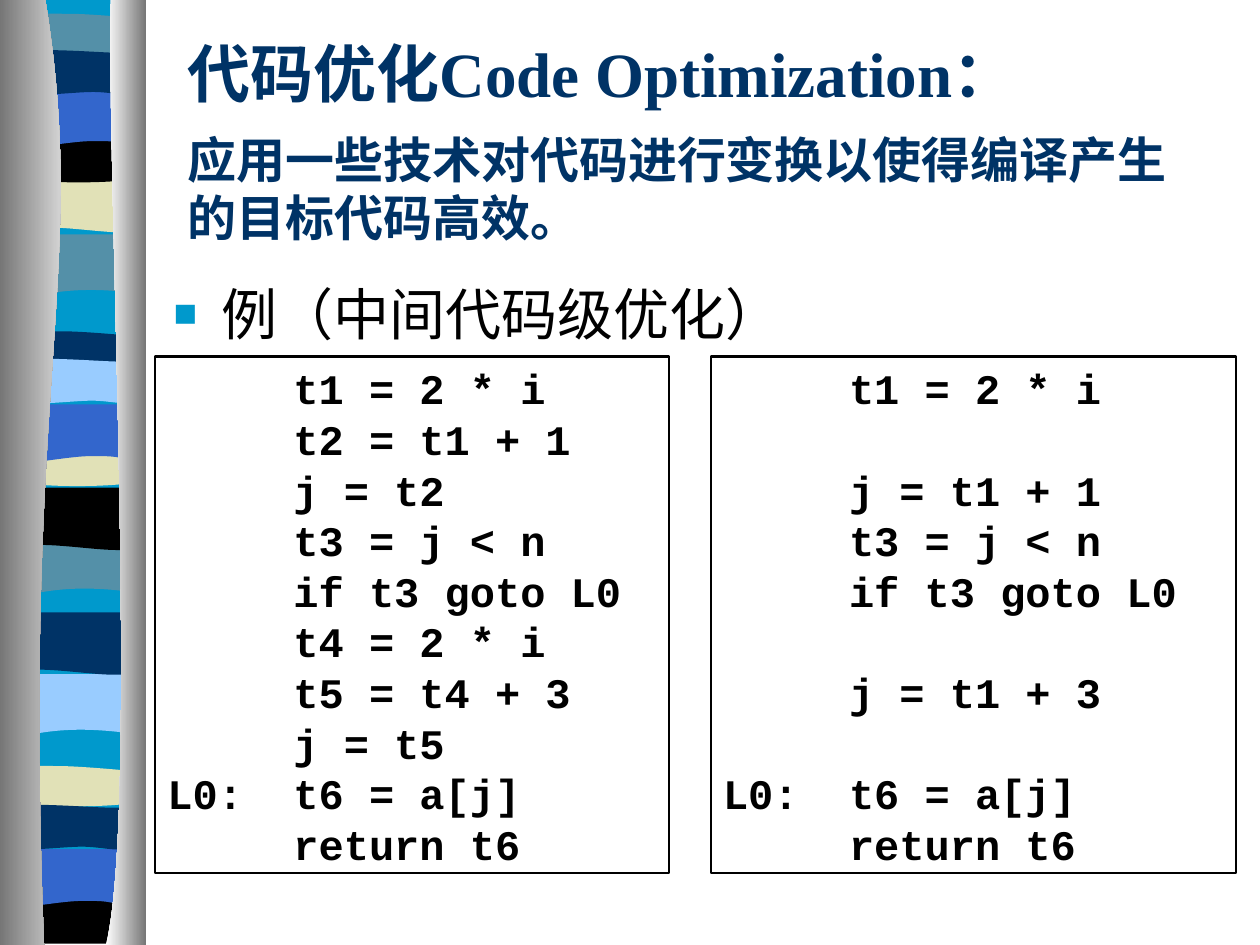
import pptx
import pptx.util
import pptx.dml.color
import pptx.enum.shapes
import pptx.enum.text
import pptx.oxml
import pptx.oxml.ns

RGBColor = pptx.dml.color.RGBColor
SCALE = 9144  # EMU per px, 100 px to the inch

WHITE = RGBColor(0xFF, 0xFF, 0xFF)
BLACK = RGBColor(0x00, 0x00, 0x00)
NAVY = RGBColor(0x00, 0x33, 0x66)
CYAN = RGBColor(0x00, 0x99, 0xCC)
TEAL = RGBColor(0x54, 0x90, 0xA8)
SAND = RGBColor(0xE1, 0xE1, 0xB7)
BLUE = RGBColor(0x33, 0x66, 0xCC)
SKY = RGBColor(0x99, 0xCC, 0xFF)
GREY = RGBColor(0x76, 0x76, 0x76)

# Outlines in px: a pair is a line, six numbers are a Bezier curve
WAVE = [(98, 0), (98, 47), (30, 38, 17, 54, 0, 47), (0, 0)]
SWELL = [(98, 0), (98, 47), (82, 55, 30, 41, 0, 47), (0, 0)]
LENS = [(98, 5), (98, 30), (82, 34, 16, 34, 0, 30), (0, 5),
        (6, 0, 21, 1, 38, 1), (54, 1, 86, 4, 98, 5)]
BOWL = [(98, 0), (98, 33), (82, 38, 17, 38, 0, 33), (0, 0),
        (61, 5, 78, 0, 98, 0)]
ARCH = [(98, 0), (98, 47), (83, 41, 77, 41, 61, 41),
        (44, 41, 15, 47, 0, 47), (0, 0)]
FLAG = [(98, 5), (98, 36), (92, 41, 77, 36, 61, 36),
        (44, 36, 10, 41, 0, 36), (0, 5), (14, 0, 67, 5, 83, 5),
        (99, 5, 95, 5, 98, 5)]
FOOT = [(98, 0), (99, 37), (1, 37), (0, 0), (61, 5, 78, 0, 98, 0)]
RIBBON = [(98, 0), (98, 747), (0, 747), (0, 0)]
LEFT_COLUMN = [(36, 0), (71, 216, 17, 296, 35, 750), (0, 750), (0, 0)]
RIGHT_COLUMN = [(88, 0), (84, 125, 111, 646, 84, 750), (116, 750), (116, 0)]

# Ribbon bands from back to front: outline, left, top, colour
BANDS = [
    (RIBBON, 14, 0, CYAN),
    (WAVE, 13, 186, TEAL), (SWELL, 17, 135, SAND), (LENS, 17, 10, TEAL),
    (BOWL, 13, 108, BLACK), (ARCH, 13, 71, BLUE), (FLAG, 13, 37, NAVY),
    (WAVE, 8, 423, TEAL), (SWELL, 12, 387, BLACK), (LENS, 12, 262, NAVY),
    (BOWL, 12, 349, SAND), (ARCH, 12, 321, BLUE), (FLAG, 12, 282, SKY),
    (WAVE, 5, 535, SKY), (SWELL, 10, 486, NAVY), (LENS, 8, 607, SAND),
    (FOOT, 8, 712, BLACK), (ARCH, 5, 674, BLUE), (FLAG, 4, 636, NAVY),
]

# Code as blocks of lines; an optimized-away line leaves a gap between blocks
CODE_BEFORE = [
    ["\tt1 = 2 * i", "\tt2 = t1 + 1", "\tj = t2", "\tt3 = j < n",
     "\tif t3 goto L0", "\tt4 = 2 * i", "\tt5 = t4 + 3", "\tj = t5",
     "L0: \tt6 = a[j]", "\treturn t6"],
]
CODE_AFTER = [
    ["\tt1 = 2 * i"],
    ["\tj = t1 + 1", "\tt3 = j < n", "\tif t3 goto L0"],
    ["\tj = t1 + 3"],
    ["L0: \tt6 = a[j]", "\treturn t6"],
]
CODE_LINE_HEIGHT = 28.9


def px(length):
    return pptx.util.Emu(round(length * SCALE))


class SlideBuilder:
    def __init__(self, slide):
        self.slide = slide

    def outline(self, outline, left=0, top=0):
        points = [(px(left + x), px(top + y)) for step in outline
                  for x, y in zip(step[::2], step[1::2])]
        builder = self.slide.shapes.build_freeform(*points[0], scale=1.0)
        builder.add_line_segments(points[1:], close=True)
        shape = builder.convert_to_shape()
        shape.shadow.inherit = False
        shape.line.fill.background()
        self.bend(shape, outline)
        return shape

    def bend(self, shape, outline):
        """Join the three segments of each curve into one Bezier segment."""
        lines = iter(list(shape._element.iter(pptx.oxml.ns.qn("a:lnTo"))))
        for step in outline[1:]:
            line = next(lines)
            if len(step) == 2:
                continue
            curve = pptx.oxml.parse_xml(
                f'<a:cubicBezTo {pptx.oxml.ns.nsdecls("a")}/>')
            line.addprevious(curve)
            for segment in (line, next(lines), next(lines)):
                curve.append(segment[0])
                segment.getparent().remove(segment)

    def band(self, outline, left, top, color):
        shape = self.outline(outline, left, top)
        shape.fill.solid()
        shape.fill.fore_color.rgb = color

    def column(self, outline, start, end):
        shape = self.outline(outline)
        shape.fill.gradient()
        shape.fill.gradient_angle = 0
        for stop, color in zip(shape.fill.gradient_stops, (start, end)):
            stop.color.rgb = color

    def run(self, paragraph, text, size, font, color, bold=False):
        run = paragraph.add_run()
        run.text = text
        run.font.size = pptx.util.Pt(size)
        run.font.name = font
        run.font.bold = bold
        run.font.color.rgb = color

    def frame(self, shape, anchor):
        frame = shape.text_frame
        frame.word_wrap = True
        frame.auto_size = pptx.enum.text.MSO_AUTO_SIZE.NONE
        frame.vertical_anchor = anchor
        return frame

    def paragraph(self, frame, index, gap):
        paragraph = frame.add_paragraph() if index else frame.paragraphs[0]
        paragraph.alignment = pptx.enum.text.PP_ALIGN.LEFT
        paragraph.space_before = pptx.util.Pt(gap)
        return paragraph

    def add_properties(self, paragraph, xml):
        properties = paragraph._p.get_or_add_pPr()
        namespace = pptx.oxml.ns.nsdecls("a")
        for child in list(pptx.oxml.parse_xml(f"<a:pPr {namespace}>{xml}</a:pPr>")):
            properties.append(child)
        return properties

    def title(self, box, lines):
        shape = self.slide.shapes.title
        shape.left, shape.top, shape.width, shape.height = map(px, box)
        frame = self.frame(shape, pptx.enum.text.MSO_ANCHOR.MIDDLE)
        for index, (text, size, gap) in enumerate(lines):
            paragraph = self.paragraph(frame, index, gap)
            self.run(paragraph, text, size, "Times New Roman", NAVY, True)

    def bullet(self, box, text):
        shape = self.slide.shapes.add_textbox(*map(px, box))
        frame = self.frame(shape, pptx.enum.text.MSO_ANCHOR.TOP)
        paragraph = self.paragraph(frame, 0, 8)
        properties = self.add_properties(
            paragraph,
            f'<a:buClr><a:srgbClr val="{CYAN}"/></a:buClr>'
            '<a:buSzPct val="70000"/><a:buFont typeface="Arial"/>'
            '<a:buChar char="■"/>')
        properties.set("marL", str(px(38)))
        properties.set("indent", str(px(-38)))
        self.run(paragraph, text, 32, "Arial", BLACK)

    def code(self, box, blocks):
        rectangle = pptx.enum.shapes.MSO_SHAPE.RECTANGLE
        shape = self.slide.shapes.add_shape(rectangle, *map(px, box))
        shape.shadow.inherit = False
        shape.fill.background()
        shape.line.color.rgb = BLACK
        shape.line.width = pptx.util.Pt(1.25)
        frame = self.frame(shape, pptx.enum.text.MSO_ANCHOR.TOP)
        for index, block in enumerate(blocks):
            paragraph = self.paragraph(frame, index, CODE_LINE_HEIGHT if index else 3)
            paragraph.line_spacing = pptx.util.Pt(CODE_LINE_HEIGHT)
            self.add_properties(
                paragraph,
                f'<a:tabLst><a:tab pos="{px(100)}" algn="l"/></a:tabLst>')
            for number, line in enumerate(block):
                if number:
                    paragraph.add_line_break()
                self.run(paragraph, line, 24, "Courier New", BLACK, True)


def main():
    presentation = pptx.Presentation()
    presentation.slide_width, presentation.slide_height = px(1000), px(750)
    slide = presentation.slides.add_slide(presentation.slide_layouts[5])
    slide.background.fill.solid()
    slide.background.fill.fore_color.rgb = WHITE
    builder = SlideBuilder(slide)

    # Ribbon between two shaded columns
    for band in BANDS:
        builder.band(*band)
    builder.column(LEFT_COLUMN, GREY, WHITE)
    builder.column(RIGHT_COLUMN, WHITE, GREY)

    # Title and example heading
    builder.title((139, 21, 825, 181), [
        ("代码优化Code Optimization：", 36, 0),
        ("应用一些技术对代码进行变换以使得编译产生的目标代码高效。", 28, 11),
    ])
    builder.bullet((128, 217, 850, 450), "例（中间代码级优化）")

    # Code before and after optimization
    builder.code((123, 283, 408, 410), CODE_BEFORE)
    builder.code((564, 283, 417, 410), CODE_AFTER)

    presentation.save("out.pptx")


if __name__ == "__main__":
    main()
